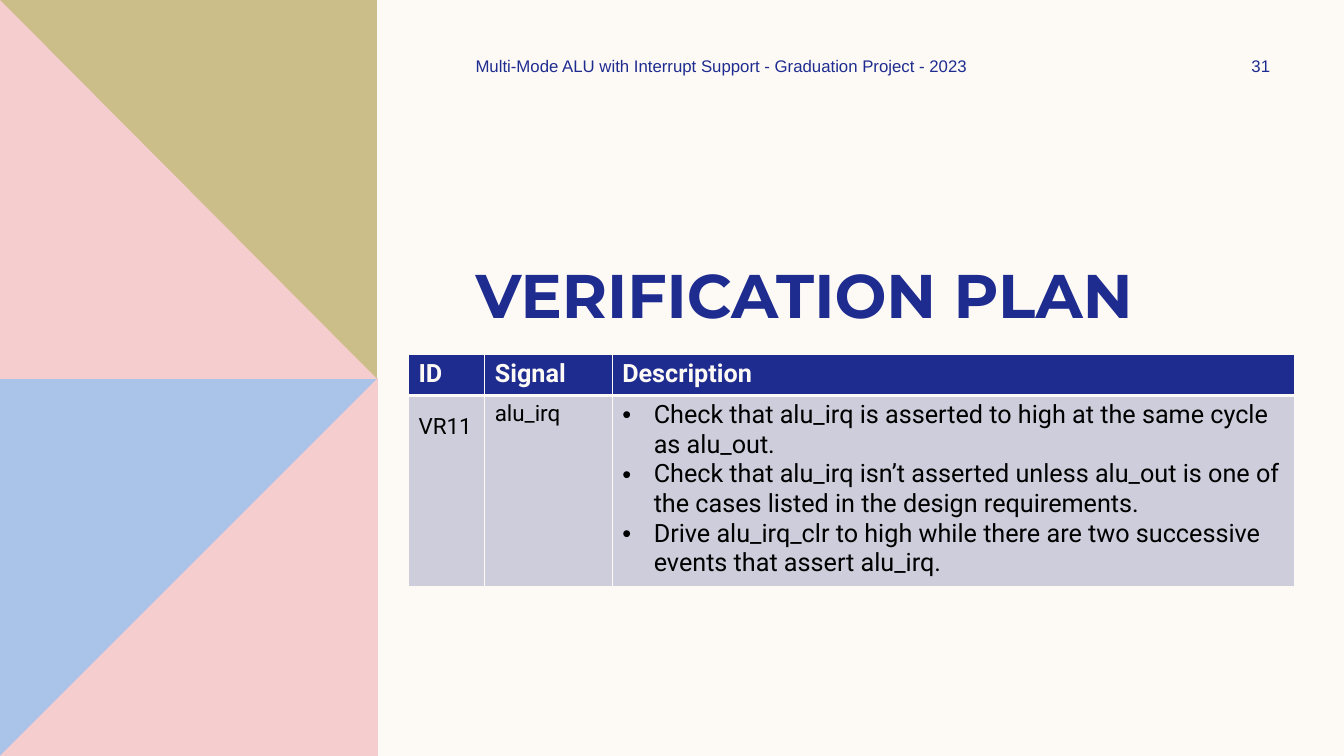
from dataclasses import dataclass

from lxml.etree import SubElement
from pptx import Presentation
from pptx.dml.color import RGBColor
from pptx.enum.shapes import MSO_SHAPE
from pptx.enum.text import MSO_ANCHOR, PP_ALIGN
from pptx.oxml.ns import qn
from pptx.util import Pt


@dataclass(frozen=True)
class Theme:
    """Colours, fonts and type sizes of the deck."""
    paper: str = "FDFAF6"
    navy: str = "1F2C8F"
    ink: str = "000000"
    cell: str = "CDCDDB"
    gold: str = "CCBE89"
    pink: str = "F5CDCE"
    blue: str = "AAC3E8"
    head: str = "Montserrat"
    body: str = "Roboto"
    plain: str = "Arial"
    big: int = 44
    mid: int = 18
    low: int = 16
    small: int = 12


THEME = Theme()
HEADS = ["ID", "Signal", "Description"]
CHECKS = [
    "Check that alu_irq is asserted to high at the same cycle as alu_out.",
    "Check that alu_irq isn’t asserted unless alu_out is one of the cases listed in the design requirements.",
    "Drive alu_irq_clr to high while there are two successive events that assert alu_irq.",
]


def apply(item, values):
    """Set each named attribute of an item."""
    for name, value in values.items():
        setattr(item, name, value)


def paint(fill, color):
    """Make a fill solid."""
    fill.solid()
    fill.fore_color.rgb = RGBColor.from_string(color)


def write(frame, lines, color, form, para=None, bullet=False):
    """Write one paragraph per line in a single format."""
    for num, line in enumerate(lines):
        part = frame.add_paragraph() if num else frame.paragraphs[0]
        if bullet:
            props = part._p.get_or_add_pPr()
            props.set("marL", str(Pt(22.5)))
            props.set("indent", str(-Pt(22.5)))
            SubElement(props, qn("a:buFont"), typeface="Arial")
            SubElement(props, qn("a:buChar"), char="•")
        apply(part, para or {})
        run = part.add_run()
        run.text = line
        apply(run.font, form)
        run.font.color.rgb = RGBColor.from_string(color)


def label(slide, box, text, form, para=None):
    """Place one line of navy text in a box."""
    frame = slide.shapes.add_textbox(*map(Pt, box)).text_frame
    apply(frame, {"word_wrap": True, "vertical_anchor": MSO_ANCHOR.MIDDLE})
    write(frame, [text], THEME.navy, form, para)


def tile(slide, box, base, top, spots):
    """Draw a square with a triangle over half of it."""
    left, high, wide, tall = box
    square = slide.shapes.add_shape(MSO_SHAPE.RECTANGLE, *map(Pt, box))
    points = [(Pt(left + x * wide), Pt(high + y * tall)) for x, y in spots]
    pen = slide.shapes.build_freeform(*points[0])
    pen.add_line_segments(points[1:], close=True)
    for shape, color in ((square, base), (pen.convert_to_shape(), top)):
        paint(shape.fill, color)
        shape.line.fill.background()
        shape.shadow.inherit = False


def art(slide, box):
    """Stack the two tiles of the side panel."""
    left, top, wide, tall = box
    half = tall / 2
    tile(slide, (left, top + half, wide, half), THEME.blue, THEME.pink,
         [(1, 0), (1, 1), (0, 1)])
    tile(slide, (left, top, wide - 0.7, half + 0.7), THEME.gold, THEME.pink,
         [(0, 0), (1, 1), (0, 1)])


def banner(slide, box):
    """Place the project name and the page number."""
    left, top, wide, tall = box
    form = {"name": THEME.plain, "size": Pt(THEME.small)}
    label(slide, (left, top, 432, tall),
          "Multi-Mode ALU with Interrupt Support - Graduation Project - 2023", form)
    label(slide, (left + wide - 78, top, 78, tall), "31", form,
          {"alignment": PP_ALIGN.CENTER})


def edge(cell, sides):
    """Rule the sides of a cell with the given widths."""
    props = cell._tc.get_or_add_tcPr()
    for side, width in sides.items():
        line = SubElement(props, qn(f"a:ln{side}"), w=str(Pt(width)))
        fill = SubElement(line, qn("a:solidFill"))
        SubElement(fill, qn("a:srgbClr"), val=THEME.paper)


def plan(slide, box):
    """Build the table of checks."""
    left, top, wide, tall = box
    table = slide.shapes.add_table(2, 3, *map(Pt, box)).table
    apply(table, {"first_row": True, "horz_banding": False})
    for col, width in zip(table.columns, (54.5, 91, wide - 145.5)):
        col.width = Pt(width)
    for row, height in zip(table.rows, (29.5, tall - 29.5)):
        row.height = Pt(height)
    for num, head in enumerate(HEADS):
        cell = table.cell(0, num)
        edge(cell, {"L": 1, "R": 1, "T": 1, "B": 3})
        paint(cell.fill, THEME.navy)
        write(cell.text_frame, [head], THEME.paper,
              {"name": THEME.body, "size": Pt(THEME.mid), "bold": True})
    body = [
        (["VR11"], THEME.low, {"line_spacing": 1.5}, False),
        (["alu_irq"], THEME.low, {}, False),
        (CHECKS, THEME.mid, {}, True),
    ]
    for num, (lines, size, para, bullet) in enumerate(body):
        cell = table.cell(1, num)
        edge(cell, {"L": 1, "R": 1, "T": 3, "B": 1})
        paint(cell.fill, THEME.cell)
        write(cell.text_frame, lines, THEME.ink,
              {"name": THEME.body, "size": Pt(size), "bold": False}, para, bullet)


def main():
    """Build the slide and save it."""
    deck = Presentation()
    apply(deck, {"slide_width": Pt(960), "slide_height": Pt(540)})
    slide = deck.slides.add_slide(deck.slide_layouts[6])
    paint(slide.background.fill, THEME.paper)
    art(slide, (0, 0, 270, 540))
    label(slide, (332.6, 180, 634, 60.5), "VERIFICATION PLAN",
          {"name": THEME.head, "size": Pt(THEME.big), "bold": True})
    banner(slide, (332.6, 36, 607, 21.6))
    plan(slide, (291.8, 253, 633.2, 162.5))
    deck.save("out.pptx")


if __name__ == "__main__":
    main()
